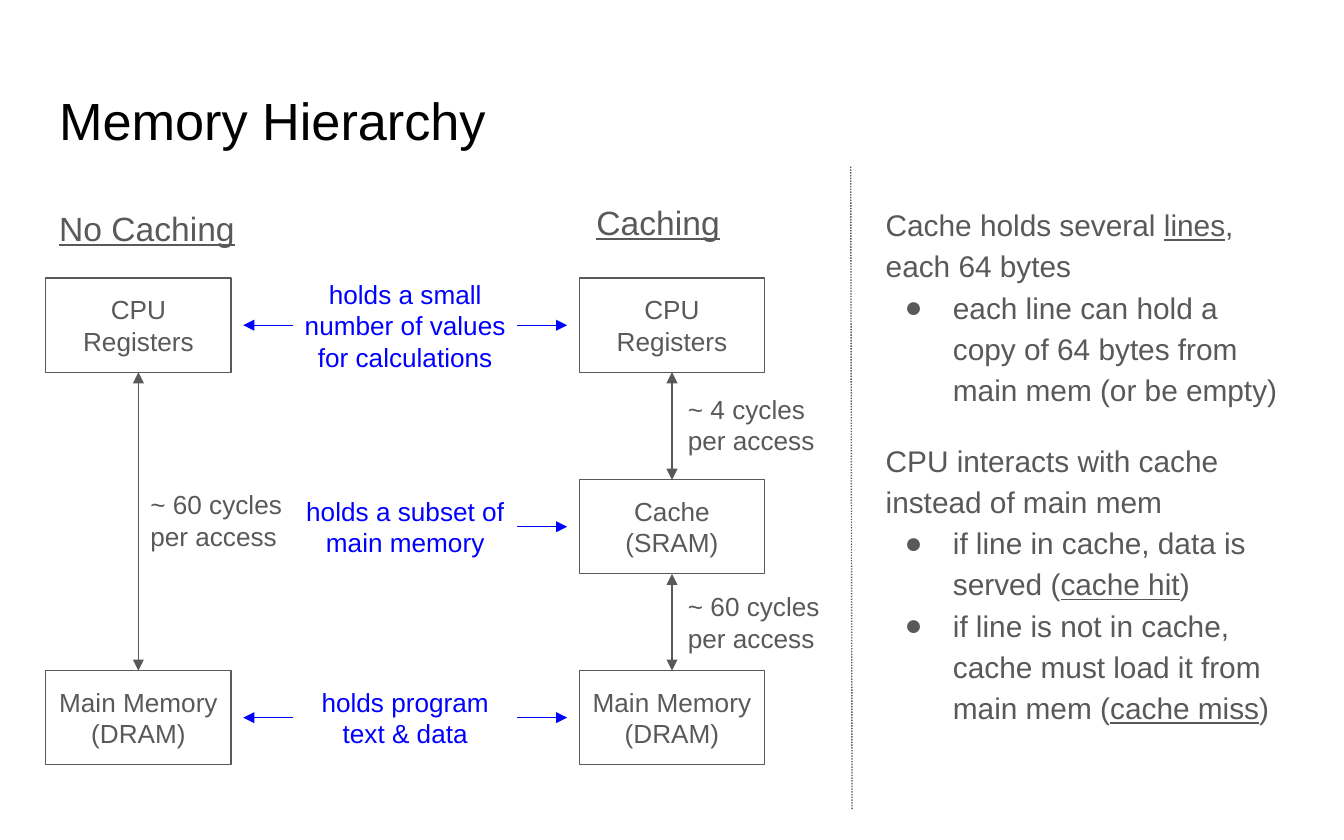
from lxml import etree
from pptx import Presentation
from pptx import util as u
from pptx.dml.color import RGBColor
from pptx.enum import dml, shapes, text
from pptx.oxml import ns

BLACK = RGBColor(0x00, 0x00, 0x00)
GRAY = RGBColor(0x59, 0x59, 0x59)
BLUE = RGBColor(0x00, 0x00, 0xFF)
FONT = "Arial"
MIDDLE, TOP = text.MSO_ANCHOR.MIDDLE, text.MSO_ANCHOR.TOP
LEFT, CENTER = text.PP_ALIGN.LEFT, text.PP_ALIGN.CENTER

# Diagram grid: two columns of boxes, three memory levels
BOX_WIDTH, BOX_HEIGHT = 1.38, 0.7
NO_CACHE_X, CACHE_X = 0.34, 4.31
REGISTERS_Y, CACHE_Y, MEMORY_Y = 2.07, 3.57, 4.99
NOTE_X, NOTE_WIDTH = 2.09, 1.85
ARROW_LENGTH, ARROW_GAP = 0.37, 0.09


def place(shape, left, top, width, height):
    shape.left, shape.top = u.Inches(left), u.Inches(top)
    shape.width, shape.height = u.Inches(width), u.Inches(height)


def prepare_frame(shape, anchor):
    frame = shape.text_frame
    frame.word_wrap = True
    frame.auto_size = text.MSO_AUTO_SIZE.NONE
    frame.vertical_anchor = anchor
    frame.margin_left = frame.margin_right = u.Inches(0.1)
    frame.margin_top = frame.margin_bottom = u.Inches(0.1)
    return frame


def add_run(paragraph, words, size, color, underline=False):
    run = paragraph.add_run()
    run.text = words
    run.font.name, run.font.size = FONT, u.Pt(size)
    run.font.color.rgb = color
    run.font.underline = underline


def write_lines(shape, lines, size, color, align, anchor=MIDDLE, underline=False):
    frame = prepare_frame(shape, anchor)
    for index, line in enumerate(lines):
        paragraph = frame.add_paragraph() if index else frame.paragraphs[0]
        paragraph.alignment = align
        add_run(paragraph, line, size, color, underline)


def set_bullet(paragraph, bulleted):
    properties = paragraph._p.get_or_add_pPr()
    properties.set("marL", str(u.Inches(0.5 if bulleted else 0)))
    properties.set("indent", str(u.Inches(-0.36 if bulleted else 0)))
    if not bulleted:
        etree.SubElement(properties, ns.qn("a:buNone"))
        return
    color = etree.SubElement(properties, ns.qn("a:buClr"))
    etree.SubElement(color, ns.qn("a:srgbClr"), val=str(GRAY))
    etree.SubElement(properties, ns.qn("a:buFont"), typeface=FONT)
    etree.SubElement(properties, ns.qn("a:buChar"), char="●")


def write_body(shape, items, size):
    """Each item is (bulleted, space after, runs); a run is (words, underlined)."""
    frame = prepare_frame(shape, TOP)
    for index, (bulleted, space_after, runs) in enumerate(items):
        paragraph = frame.add_paragraph() if index else frame.paragraphs[0]
        set_bullet(paragraph, bulleted)
        paragraph.alignment = LEFT
        paragraph.line_spacing = 1.15
        paragraph.space_before, paragraph.space_after = u.Pt(0), u.Pt(space_after)
        for words, underlined in runs:
            add_run(paragraph, words, size, GRAY, underlined)


def add_box(slide, left, top, lines):
    shape = slide.shapes.add_shape(
        shapes.MSO_SHAPE.RECTANGLE, u.Inches(left), u.Inches(top),
        u.Inches(BOX_WIDTH), u.Inches(BOX_HEIGHT))
    shape.shadow.inherit = False
    shape.fill.background()
    shape.line.color.rgb, shape.line.width = GRAY, u.Pt(0.75)
    write_lines(shape, lines, 14, GRAY, CENTER)


def add_label(slide, left, top, width, height, lines, color=GRAY, align=LEFT, **style):
    shape = slide.shapes.add_textbox(
        u.Inches(left), u.Inches(top), u.Inches(width), u.Inches(height))
    write_lines(shape, lines, style.pop("size", 14), color, align, **style)


def add_line(slide, start, end, color, heads=(), dash=None):
    line = slide.shapes.add_connector(
        shapes.MSO_CONNECTOR.STRAIGHT, *[u.Inches(value) for value in (*start, *end)])
    line.line.color.rgb, line.line.width = color, u.Pt(0.75)
    if dash:
        line.line.dash_style = dash
    outline = line.line._get_or_add_ln()
    for head in heads:
        etree.SubElement(outline, ns.qn(f"a:{head}"), type="triangle")
    etree.SubElement(line._element.spPr, ns.qn("a:effectLst"))


def add_access(slide, column_x, upper_y, lower_y):
    center = column_x + BOX_WIDTH / 2
    add_line(slide, (center, upper_y + BOX_HEIGHT), (center, lower_y), GRAY,
             ("headEnd", "tailEnd"))


def add_note(slide, top, lines, both_sides):
    """Blue remark between the columns, with arrows to the boxes it describes."""
    add_label(slide, NOTE_X, top, NOTE_WIDTH, BOX_HEIGHT, lines, BLUE, CENTER)
    middle = top + BOX_HEIGHT / 2
    tip = CACHE_X - ARROW_GAP
    add_line(slide, (tip - ARROW_LENGTH, middle), (tip, middle), BLUE, ("tailEnd",))
    if both_sides:
        tip = NO_CACHE_X + BOX_WIDTH + ARROW_GAP
        add_line(slide, (tip + ARROW_LENGTH, middle), (tip, middle), BLUE, ("tailEnd",))


def main():
    presentation = Presentation()
    presentation.slide_width, presentation.slide_height = u.Inches(10), u.Inches(6.25)
    slide = presentation.slides.add_slide(presentation.slide_layouts[3])
    title, heading, details = slide.placeholders

    # Title and left column heading
    place(title, 0.34, 0.54, 9.32, 0.7)
    write_lines(title, ["Memory Hierarchy"], 28, BLACK, LEFT)
    place(heading, 0.34, 1.4, 9.32, 4.15)
    write_body(heading, [(False, 16, [("No Caching", True)])], 18)

    # Memory levels
    registers, memory = ["CPU", "Registers"], ["Main Memory", "(DRAM)"]
    for column_x in (NO_CACHE_X, CACHE_X):
        add_box(slide, column_x, REGISTERS_Y, registers)
        add_box(slide, column_x, MEMORY_Y, memory)
    add_box(slide, CACHE_X, CACHE_Y, ["Cache", "(SRAM)"])

    # Access paths and their costs
    add_access(slide, NO_CACHE_X, REGISTERS_Y, MEMORY_Y)
    add_access(slide, CACHE_X, REGISTERS_Y, CACHE_Y)
    add_access(slide, CACHE_X, CACHE_Y, MEMORY_Y)
    for left, top, cycles in ((1.02, 3.47, 60), (5.02, 2.76, 4), (5.02, 4.23, 60)):
        add_label(slide, left, top, 1.21, 0.8, [f"~ {cycles} cycles", "per access"])

    # Remarks on each level
    add_note(slide, REGISTERS_Y, ["holds a small number of values for calculations"], True)
    add_note(slide, CACHE_Y, ["holds a subset of main memory"], False)
    add_note(slide, MEMORY_Y, ["holds program", "text & data"], True)

    # Right column heading
    add_label(slide, 4.34, 1.4, 2.77, 0.5, ["Caching"], size=18, anchor=TOP, underline=True)

    # Explanation and divider
    place(details, 6.49, 1.4, 3.17, 4.15)
    write_body(details, [
        (False, 0, [("Cache holds several ", False), ("lines", True),
                    (", each 64 bytes", False)]),
        (True, 16, [("each line can hold a copy of 64 bytes from main mem (or be empty)",
                     False)]),
        (False, 0, [("CPU interacts with cache instead of main mem", False)]),
        (True, 0, [("if line in cache, data is served (", False), ("cache hit", True),
                   (")", False)]),
        (True, 16, [("if line is not in cache, cache must load it from main mem (", False),
                    ("cache miss", True), (")", False)]),
    ], 16)
    add_line(slide, (6.33, 1.24), (6.34, 6.02), GRAY, dash=dml.MSO_LINE.ROUND_DOT)

    presentation.save("out.pptx")


if __name__ == "__main__":
    main()
